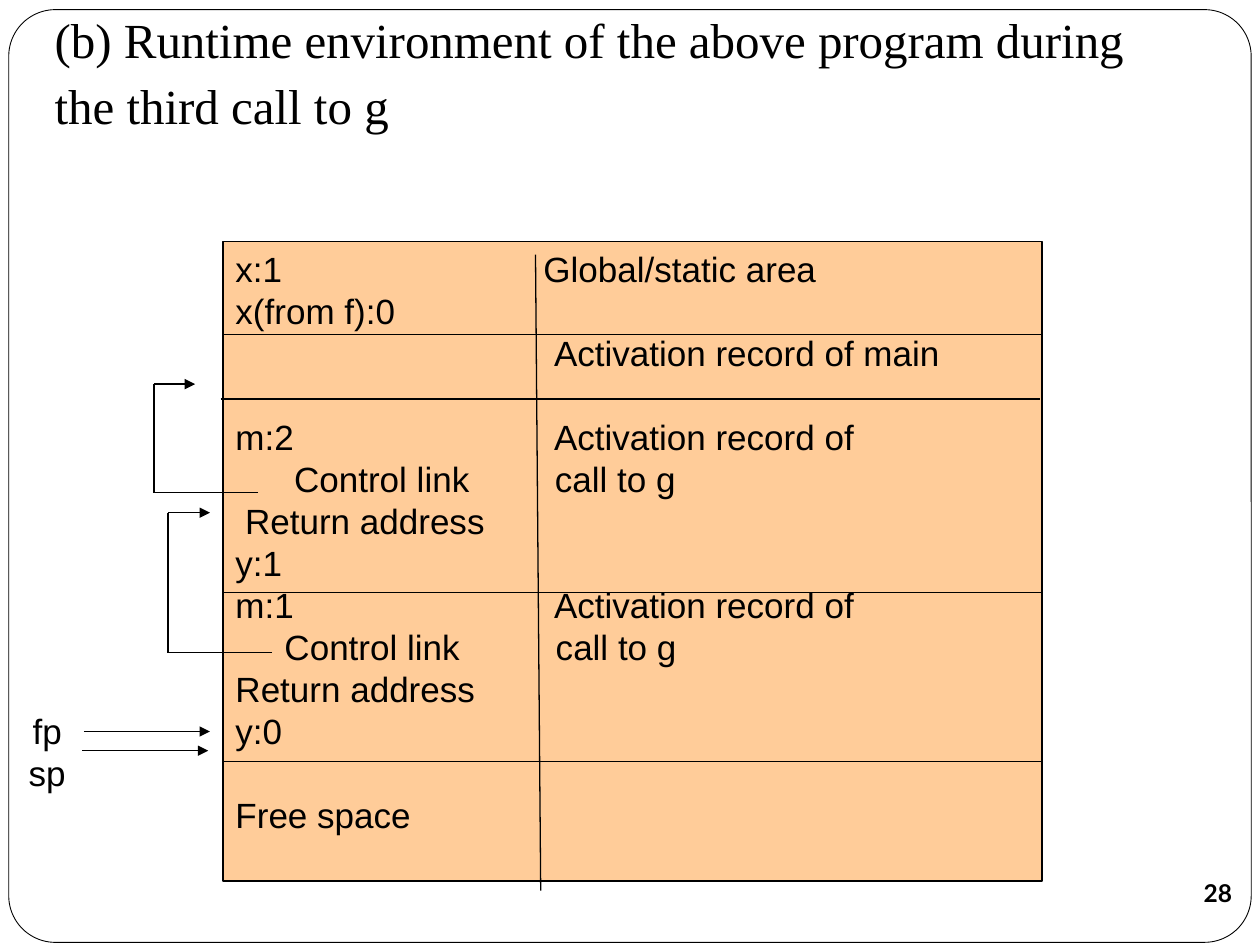
"""Build a slide showing the runtime stack during the third call to g."""
from lxml import etree
from pptx import Presentation
from pptx.dml.color import RGBColor
from pptx.enum import shapes, text
from pptx.oxml.ns import qn
from pptx.util import Pt

BLACK, WHITE, ORANGE = "000000", "FFFFFF", "FFCC99"
LEFT, CENTER = text.PP_ALIGN.LEFT, text.PP_ALIGN.CENTER
STACK = (127.5, 138, 468, 365.5)
LINE_HEIGHT = 24
STACK_ROWS = [
    ("x:1\tGlobal/static area", 0, [176]),
    ("x(from f):0", 0, []),
    ("\tActivation record of main", 0, [182]),
    ("m:2\tActivation record of", LINE_HEIGHT, [182]),
    ("\tControl link\tcall to g", 0, [33.5, 182.5]),
    ("\tReturn address", 0, [5.5]),
    ("y:1", 0, []),
    ("m:1\tActivation record of", 0, [182]),
    ("\tControl link\tcall to g", 0, [28, 183]),
    ("Return address", 0, []),
    ("y:0", 0, []),
    ("Free space", LINE_HEIGHT, []),
]


def color(value):
    """Turn a hex string into a colour."""
    return RGBColor.from_string(value)


def format_text(paragraph, font, size, align=LEFT, bold=False):
    """Align a paragraph and format its runs."""
    paragraph.alignment = align
    for span in paragraph.runs:
        span.font.name = font
        span.font.size = Pt(size)
        span.font.bold = bold
        span.font.color.rgb = color(BLACK)


def set_tabs(paragraph, stops):
    """Give a paragraph left tab stops, in points from the text edge."""
    if stops:
        tabs = etree.SubElement(paragraph._p.get_or_add_pPr(), qn("a:tabLst"))
        for stop in stops:
            etree.SubElement(tabs, qn("a:tab"), pos=str(int(Pt(stop))), algn="l")


def add_box(page, kind, bounds, fill=None, line_width=None):
    """Add a preset shape, with a fill and outline when given."""
    box = page.shapes.add_shape(kind, *map(Pt, bounds))
    box.shadow.inherit = False
    if fill:
        box.fill.solid()
        box.fill.fore_color.rgb = color(fill)
    else:
        box.fill.background()
    if line_width:
        box.line.color.rgb = color(BLACK)
        box.line.width = Pt(line_width)
    else:
        box.line.fill.background()
    return box


def add_line(page, start, end, arrow=False):
    """Add a thin black line, with an arrowhead at its end on request."""
    line = page.shapes.add_connector(
        shapes.MSO_CONNECTOR.STRAIGHT, *map(Pt, start + end))
    line.line.color.rgb = color(BLACK)
    line.line.width = Pt(0.75)
    if arrow:
        etree.SubElement(line.line._get_or_add_ln(), qn("a:tailEnd"), type="triangle")
    etree.SubElement(line._element.spPr, qn("a:effectLst"))


def add_control_link(page, left, right, bottom, top, tip):
    """Add a bracket from a control link back to the calling record."""
    add_line(page, (right, bottom), (left, bottom))
    add_line(page, (left, bottom), (left, top))
    add_line(page, (left, top), (tip, top), arrow=True)


def add_title(page):
    """Fill and place the title, with the rounded frame behind it."""
    title = page.shapes.title
    title.left, title.top, title.width, title.height = map(Pt, (24, 36, 660, 48))
    frame = title.text_frame
    frame.text = "(b) Runtime environment of the above program during the third call to g"
    frame.word_wrap = True
    frame.auto_size = text.MSO_AUTO_SIZE.NONE
    frame.vertical_anchor = text.MSO_ANCHOR.BOTTOM
    frame.margin_bottom = Pt(7.2)
    frame.paragraphs[0].line_spacing = Pt(37.7)
    format_text(frame.paragraphs[0], "Times New Roman", 28)
    border = add_box(page, shapes.MSO_SHAPE.ROUNDED_RECTANGLE,
                     (5, 5.5, 710, 533), WHITE, 0.5)
    border.adjustments[0] = 0.05
    title.element.addprevious(border.element)


def add_stack(page):
    """Add the memory block, its text and its dividing lines."""
    box = add_box(page, shapes.MSO_SHAPE.RECTANGLE, STACK, ORANGE, 0.75)
    frame = box.text_frame
    frame.word_wrap = True
    frame.vertical_anchor = text.MSO_ANCHOR.TOP
    frame.text = "\n".join(row[0] for row in STACK_ROWS)
    for paragraph, (_, gap, stops) in zip(frame.paragraphs, STACK_ROWS):
        format_text(paragraph, "Arial", 20)
        paragraph.space_before = Pt(gap)
        set_tabs(paragraph, stops)
    add_line(page, (306, 145.5), (309, 509))
    for left, top in ((127.5, 191), (126, 228), (127.5, 338.5), (127.5, 435)):
        add_line(page, (left, top), (left + STACK[2], top))


def add_pointers(page):
    """Add the fp and sp labels with their arrows."""
    box = page.shapes.add_textbox(*map(Pt, (0, 401, 54, 57)))
    frame = box.text_frame
    frame.word_wrap = True
    frame.vertical_anchor = text.MSO_ANCHOR.MIDDLE
    frame.text = "fp\nsp"
    for paragraph in frame.paragraphs:
        format_text(paragraph, "Arial", 20, CENTER)
    for left, top in ((48, 418), (47, 429)):
        add_line(page, (left, top), (left + 72, top), arrow=True)


def add_page_number(page):
    """Add the page number in the lower right corner."""
    box = add_box(page, shapes.MSO_SHAPE.OVAL, (678, 492, 36, 36))
    frame = box.text_frame
    frame.margin_left = frame.margin_right = frame.margin_top = frame.margin_bottom = 0
    frame.word_wrap = False
    frame.vertical_anchor = text.MSO_ANCHOR.MIDDLE
    frame.text = "28"
    format_text(frame.paragraphs[0], "Lato", 14, CENTER, bold=True)


def main():
    """Build and save the deck."""
    deck = Presentation()
    deck.slide_width, deck.slide_height = Pt(720), Pt(540)
    page = deck.slides.add_slide(deck.slide_layouts[5])
    add_title(page)
    add_stack(page)
    add_control_link(page, 88, 147.5, 281.5, 219.5, 111.5)
    add_control_link(page, 96, 155.5, 373, 293, 120)
    add_pointers(page)
    add_page_number(page)
    deck.save("out.pptx")


if __name__ == "__main__":
    main()
